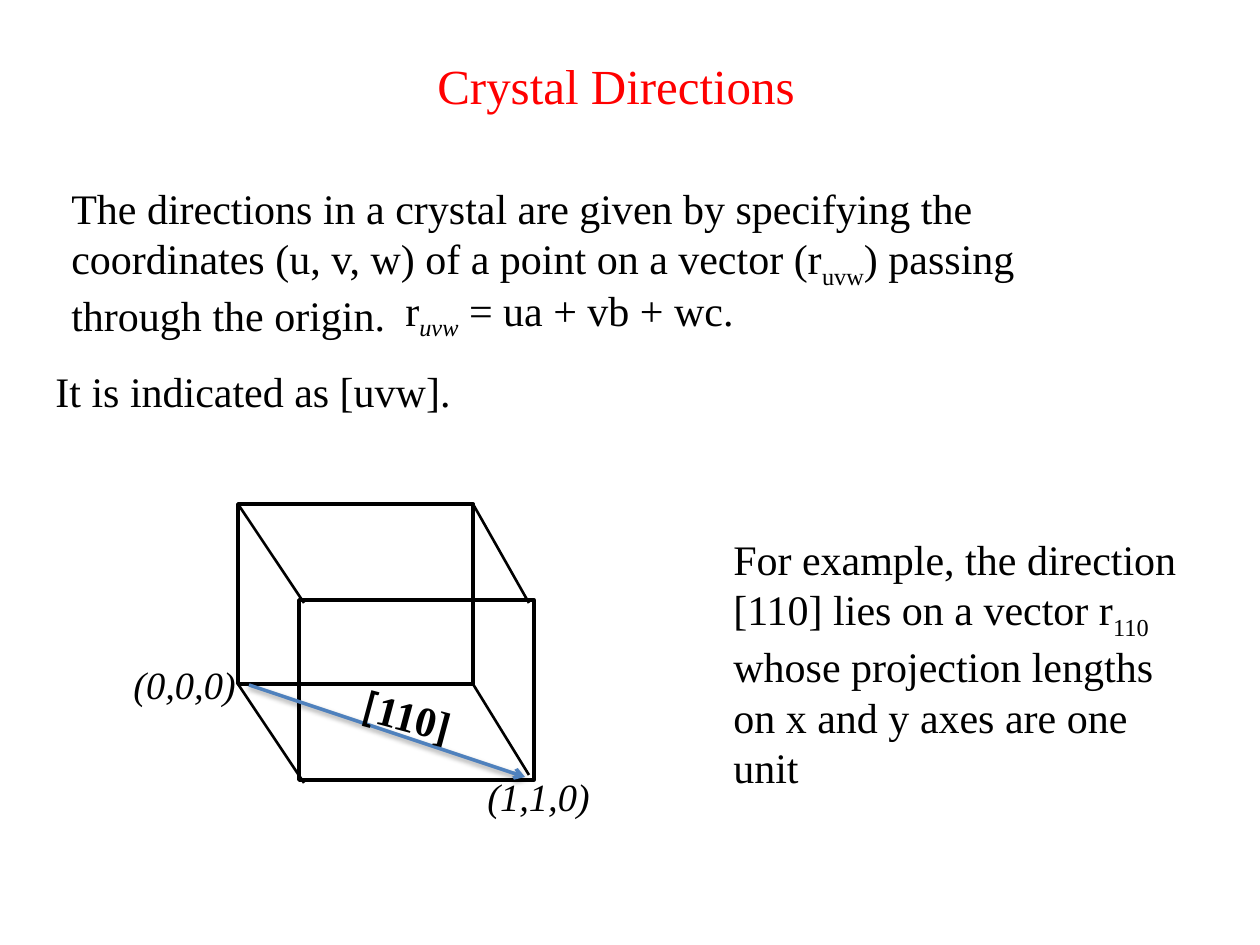
from lxml import etree
from pptx import Presentation
from pptx import util as u
from pptx.dml.color import RGBColor
from pptx.enum import shapes, text
from pptx.oxml.ns import qn

PX = 914400 // 126
ROMAN = "Times New Roman"
SUB = {"base": -25}


def tint(code):
    """Turn a hex string into a colour."""
    return RGBColor.from_string(code)


def write(para, words, size=24, face=ROMAN, color="000000", bold=False, ital=False, base=0):
    """Add one formatted run to a paragraph."""
    run = para.add_run()
    run.text = words
    font = run.font
    font.size, font.name = u.Pt(size), face
    font.bold, font.italic = bold, ital
    font.color.rgb = tint(color)
    if base:
        run._r.get_or_add_rPr().set("baseline", str(base * 1000))


def node(up, tag, **attrs):
    """Add an XML child with attributes."""
    kid = etree.SubElement(up, qn(tag))
    for key, val in attrs.items():
        kid.set(key, str(val))
    return kid


class Deck:
    """Hold the style and the current slide."""

    def __init__(self, wide, high):
        """Start a deck with one blank slide."""
        self.prs = Presentation()
        self.prs.slide_width, self.prs.slide_height = wide * PX, high * PX
        self.slide = self.prs.slides.add_slide(self.prs.slide_layouts[6])
        self.ink = "000000"

    def label(self, x, y, w, h, *paras, wrap=True, turn=0, **style):
        """Place a text box; each paragraph is a list of (words, format) runs."""
        box = self.slide.shapes.add_textbox(x * PX, y * PX, w * PX, h * PX)
        box.rotation = turn
        frame = box.text_frame
        frame.word_wrap = wrap
        frame.auto_size = text.MSO_AUTO_SIZE.SHAPE_TO_FIT_TEXT
        for i, runs in enumerate(paras):
            para = frame.add_paragraph() if i else frame.paragraphs[0]
            for words, fmt in runs:
                write(para, words, **{**style, **fmt})

    def face(self, x, y, w, h):
        """Draw one open face of the cell."""
        rect = self.slide.shapes.add_shape(
            shapes.MSO_SHAPE.RECTANGLE, x * PX, y * PX, w * PX, h * PX)
        rect.shadow.inherit = False
        rect.fill.background()
        rect.line.color.rgb = tint(self.ink)
        rect.line.width = u.Pt(2)

    def edge(self, x1, y1, x2, y2, color=None, width=1.5):
        """Draw a straight line and return it with its effect list."""
        line = self.slide.shapes.add_connector(
            shapes.MSO_CONNECTOR.STRAIGHT, x1 * PX, y1 * PX, x2 * PX, y2 * PX)
        line.line.color.rgb = tint(color or self.ink)
        line.line.width = u.Pt(width)
        return line, node(line._element.spPr, "a:effectLst")

    def arrow(self, *ends, color):
        """Draw a shadowed arrow."""
        line, fx = self.edge(*ends, color=color, width=2)
        node(line.line._get_or_add_ln(), "a:tailEnd", type="arrow")
        shade = node(fx, "a:outerShdw", blurRad=u.Pt(3.1), dist=u.Pt(1.6),
                     dir=90 * 60000, rotWithShape=0)
        node(node(shade, "a:srgbClr", val=self.ink), "a:alpha", val=38000)


def main():
    """Build the slide."""
    deck = Deck(1260, 945)
    deck.label(425, 49, 411, 72, [("Crystal Directions", {})], size=28, color="FF0000")
    deck.label(
        59, 176, 1097, 165,
        [("The directions in a crystal are given by specifying the", {})],
        [("coordinates (u, v, w) of a point on a vector (r", {}), ("uvw", SUB),
         (") passing", {})],
        [("through the origin.", {})])
    deck.label(393, 278, 442, 63, [("r", {}), ("uvw", {"ital": True, **SUB}),
                                   (" = ua + vb + wc.", {})])
    deck.label(43, 359, 1027, 63, [("It is indicated as [uvw].", {})])

    for x, y in ((238, 504), (299, 600)):
        deck.face(x, y, 235, 180)
    for y in (504, 684):
        deck.edge(238, y, 304, y + 99)
    deck.edge(473, 504, 529, 603)
    deck.edge(473, 684, 529, 775)
    for x, y, point in ((121, 655, "(0,0,0)"), (475, 767, "(1,1,0)")):
        deck.label(x, y, 129, 59, [(point, {})], wrap=False, size=22, ital=True)
    deck.arrow(249, 685, 525, 777, color="4F81BD")
    deck.label(350, 692, 178, 63, [("[", {"face": "Calibri"}), ("110]", {})],
               turn=15, bold=True)

    deck.label(
        721, 527, 470, 267,
        [("For example, the direction [110] lies on a vector r", {}), ("110", SUB)],
        [("whose projection lengths on x and y axes are one unit", {})])
    deck.prs.save("out.pptx")


if __name__ == "__main__":
    main()
